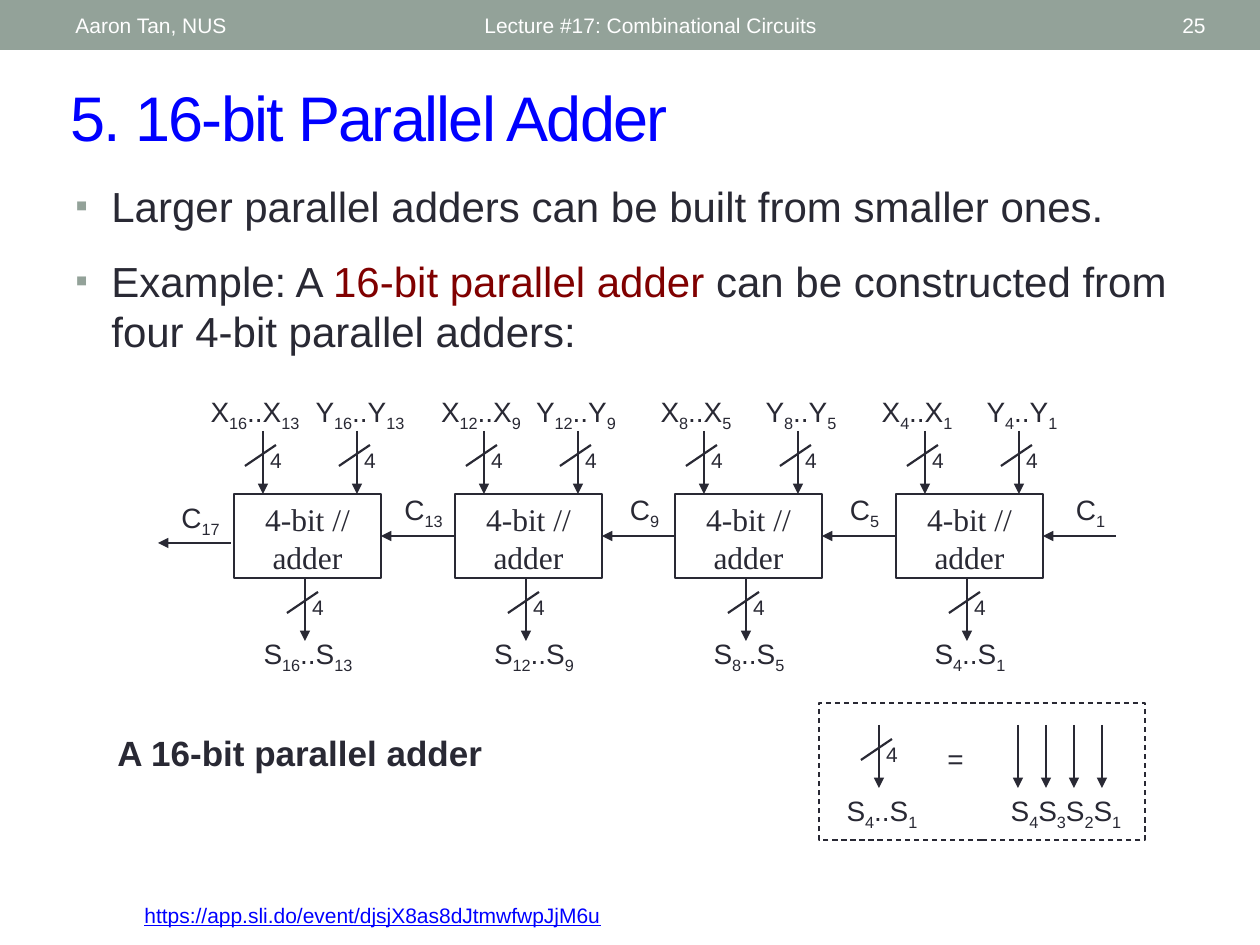
from pptx import Presentation
from pptx.dml.color import RGBColor
from pptx.enum.dml import MSO_LINE
from pptx.enum.shapes import MSO_CONNECTOR, MSO_SHAPE
from pptx.enum.text import MSO_ANCHOR, PP_ALIGN
from pptx.oxml.ns import qn
from pptx.util import Emu, Pt
from lxml import etree

INK = RGBColor(0x29, 0x29, 0x34)
SAGE = RGBColor(0x93, 0xA2, 0x99)
BLUE = RGBColor(0x00, 0x00, 0xFF)
MAROON = RGBColor(0x80, 0x00, 0x00)
WHITE = RGBColor(0xFF, 0xFF, 0xFF)

STRAIGHT = MSO_CONNECTOR.STRAIGHT
RECT = MSO_SHAPE.RECTANGLE
DASH = MSO_LINE.DASH
TOP, MIDDLE = MSO_ANCHOR.TOP, MSO_ANCHOR.MIDDLE
LEFT, CENTER, RIGHT = PP_ALIGN.LEFT, PP_ALIGN.CENTER, PP_ALIGN.RIGHT
LEFT_SIDE, RIGHT_SIDE = 1, 3
PX_PER_INCH = 126


def px(*lengths):
    return [Emu(round(n * 914400 / PX_PER_INCH)) for n in lengths]


def sub(parent, tag, **attrs):
    return etree.SubElement(parent, qn(tag), attrs)


class Painter:
    base = {"name": "Arial", "size": 16, "color": INK}

    def __init__(self, slide):
        self.slide = slide

    def run(self, p, text, **style):
        r = p.add_run()
        r.text = text
        fmt = {**self.base, **style}
        r.font.color.rgb = fmt.pop("color")
        fmt["size"] = Pt(fmt["size"])
        for key, value in fmt.items():
            setattr(r.font, key, value)
        return r

    def title(self, text, box, **style):
        sp = self.slide.shapes.title
        sp.left, sp.top, sp.width, sp.height = px(*box)
        tf = sp.text_frame
        tf.vertical_anchor = MIDDLE
        tf.paragraphs[0].alignment = LEFT
        r = self.run(tf.paragraphs[0], text, **style)
        r.font._element.set("spc", "-100")

    def text(self, text, box, align=LEFT, anchor=TOP, **style):
        tf = self.slide.shapes.add_textbox(*px(*box)).text_frame
        tf.word_wrap = True
        tf.vertical_anchor = anchor
        tf.paragraphs[0].alignment = align
        self.run(tf.paragraphs[0], text, **style)

    def signal(self, text, cx, top, width=126):
        tf = self.slide.shapes.add_textbox(*px(cx - width // 2, top, width, 47)).text_frame
        tf.word_wrap = True
        tf.margin_left = tf.margin_right = 0
        p = tf.paragraphs[0]
        p.alignment = CENTER
        for i, part in enumerate(text.split("|")):
            r = self.run(p, part)
            if i % 2:
                r.font._element.set("baseline", "-25000")

    def bullets(self, items, box, **style):
        tf = self.slide.shapes.add_textbox(*px(*box)).text_frame
        tf.word_wrap = True
        for i, item in enumerate(items):
            p = tf.add_paragraph() if i else tf.paragraphs[0]
            pPr = p._p.get_or_add_pPr()
            indent, = px(36)
            pPr.set("marL", str(indent))
            pPr.set("indent", str(-indent))
            sub(sub(pPr, "a:buClr"), "a:srgbClr", val=str(SAGE))
            sub(pPr, "a:buSzPct", val="85000")
            sub(pPr, "a:buFont", typeface="Arial")
            sub(pPr, "a:buChar", char="▪")
            if i:
                p.space_before = Pt(14)
            for text, color in item:
                self.run(p, text, color=color, **style)

    def rect(self, box, fill=None, line=None, dash=None, text=None, **style):
        sp = self.slide.shapes.add_shape(RECT, *px(*box))
        sp.shadow.inherit = False
        if fill is None:
            sp.fill.background()
        else:
            sp.fill.solid()
            sp.fill.fore_color.rgb = fill
        if line is None:
            sp.line.fill.background()
        else:
            sp.line.color.rgb = INK
            sp.line.width = Pt(line)
        if dash:
            sp.line.dash_style = dash
        if text:
            tf = sp.text_frame
            tf.word_wrap = True
            tf.vertical_anchor = TOP
            tf.paragraphs[0].alignment = CENTER
            self.run(tf.paragraphs[0], text, **style)
        return sp

    def line(self, start, end, arrow=True, source=None, target=None):
        cxn = self.slide.shapes.add_connector(STRAIGHT, *px(*start, *end))
        cxn.line.color.rgb = INK
        cxn.line.width = Pt(1.25)
        if arrow:
            sub(cxn.line._get_or_add_ln(), "a:tailEnd", type="triangle")
        sub(cxn._element.spPr, "a:effectLst")
        if source is not None:
            cxn.begin_connect(source, LEFT_SIDE)
        if target is not None:
            cxn.end_connect(target, RIGHT_SIDE)

    def bus(self, x, top):
        self.line((x, top), (x, top + 63))
        self.line((x + 13, top + 14), (x - 18, top + 35), arrow=False)
        self.text("4", (x - 8, top + 10, 42, 38), CENTER, size=12)


def draw_adder(s):
    top, width, height = 494, 147, 84
    mid = top + height // 2
    stages = [(16, 13, 0, 42), (12, 9, 5, 42), (8, 5, 0, 42), (4, 1, 0, 47)]
    lefts = [round(234.4 + 220.5 * i) for i in range(len(stages))]
    boxes = [s.rect((x, top, width, height), line=1.5, text="4-bit // adder",
                    name="Times New Roman", size=18) for x in lefts]
    sources = boxes[1:] + [None]
    for x, box, source, (hi, lo, nudge, carry) in zip(lefts, boxes, sources, stages):
        s.signal(f"X|{hi}|..X|{lo}", x + 21 + nudge, 388)
        s.signal(f"Y|{hi}|..Y|{lo}", x + 126 - nudge, 388)
        s.signal(f"S|{hi}|..S|{lo}", x + 74 + nudge, 630)
        s.signal(f"C|{lo}", x + width + carry, 486, 73)
        for dx, bus_top in ((29, 431), (123, 431), (71, 578)):
            s.bus(x + dx, bus_top)
        right = x + width
        s.line((right + 73, mid), (right, mid), source=source, target=box)
    s.line((231, 543), (158, 543))
    s.signal("C|17", 200, 494, 73)


def draw_legend(s):
    s.rect((819, 703, 326, 137), line=0.75, dash=DASH)
    s.bus(879, 725)
    s.signal("S|4|..S|1", 882, 787)
    s.signal("=", 955, 735, 63)
    for i in range(4):
        x = 1018 + 28 * i
        s.line((x, 725), (x, 788))
    s.signal("S|4|S|3|S|2|S|1", 1066, 787, 136)


def main():
    prs = Presentation()
    prs.slide_width, prs.slide_height = px(1260, 945)
    s = Painter(prs.slides.add_slide(prs.slide_layouts[5]))

    s.rect((0, 0, 1260, 50), fill=SAGE)
    for text, left, width, align in (("Aaron Tan, NUS", 63, 400, LEFT),
                                     ("Lecture #17: Combinational Circuits", 472, 567, LEFT),
                                     ("25", 1099, 119, RIGHT)):
        s.text(text, (left, 3, width, 45), align, MIDDLE, size=12, color=WHITE)
    s.title("5. 16-bit Parallel Adder", (58, 72, 1160, 88), size=36, color=BLUE)
    s.bullets([
        [("Larger parallel adders can be built from smaller ones.", INK)],
        [("Example: A ", INK), ("16-bit parallel adder", MAROON),
         (" can be constructed from four 4-bit parallel adders:", INK)],
    ], (63, 174, 1134, 190), size=24)

    draw_adder(s)
    s.text("A 16-bit parallel adder", (105, 725, 399, 54), size=20, bold=True)
    draw_legend(s)
    s.text("https://app.sli.do/event/djsjX8as8dJtmwfwpJjM6u", (132, 896, 954, 38),
           size=12, color=BLUE, underline=True)
    prs.save("out.pptx")


if __name__ == "__main__":
    main()
